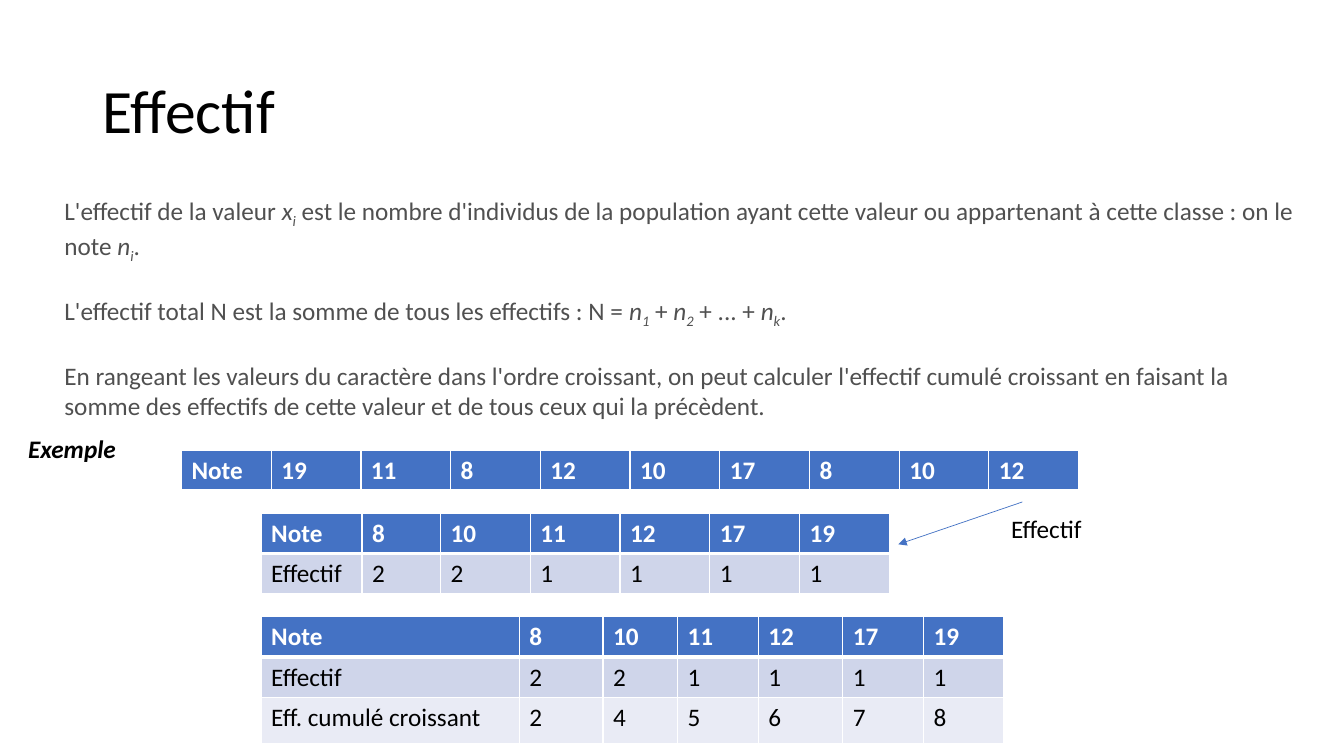
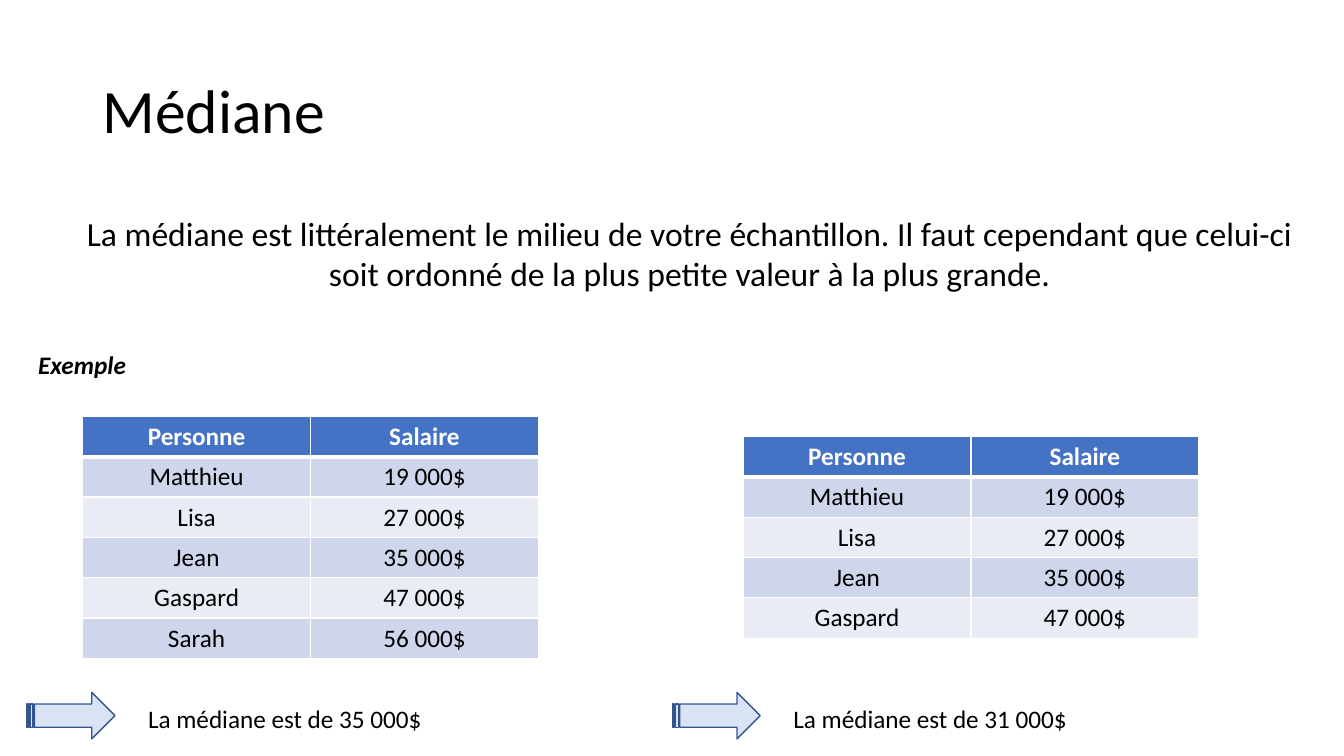
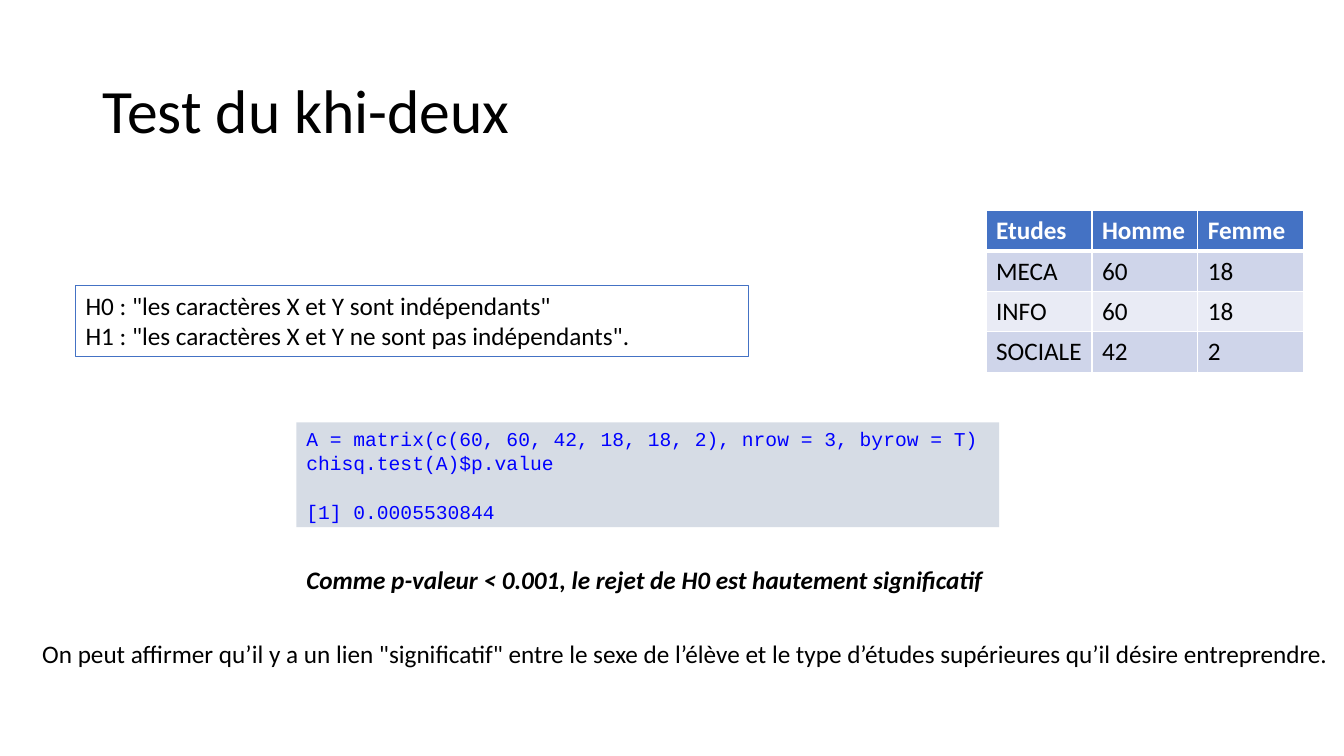
from dataclasses import dataclass, field

from lxml import etree
from pptx import Presentation
from pptx.dml.color import RGBColor
from pptx.enum import shapes, text
from pptx.oxml import ns
from pptx.util import Inches, Pt

WHITE, BLACK, GREY, CODE_BLUE = "FFFFFF", "000000", "505050", "0000FF"
ACCENT, ARROW_FILL, ARROW_LINE, CODE_FILL = "4472C4", "DAE3F3", "325491", "D6DCE5"
BANDS = ("CFD5EA", "E9EBF5")
LEFT, CENTER = text.PP_ALIGN.LEFT, text.PP_ALIGN.CENTER
BODY = {"name": "Calibri", "size": Pt(18), "color": BLACK}
TITLE = {**BODY, "size": Pt(44)}
GREY_BODY = {**BODY, "color": GREY}
EMPHASIS = {**BODY, "bold": True, "italic": True}
HEADER = {**BODY, "bold": True, "color": WHITE}
CODE = {"name": "Courier New", "size": Pt(14), "color": CODE_BLUE}


@dataclass
class Run:
    words: str
    italic: bool = False
    subscript: bool = False


@dataclass
class Paragraph:
    runs: list[Run]
    space_before: float = 0


@dataclass
class Block:
    """Text in a box; fill and outline turn the box into a rectangle."""
    at: tuple[float, float, float, float]
    paragraphs: list[Paragraph]
    style: dict = field(default_factory=lambda: BODY)
    align: text.PP_ALIGN = LEFT
    fill: str | None = None
    outline: str | None = None


@dataclass
class Grid:
    left: float
    top: float
    columns: list[float]
    rows: list[list[str]]
    align: text.PP_ALIGN = LEFT
    row_height: float = 0.4
    last_height: float = 0.4


def rgb(value: str) -> RGBColor:
    return RGBColor.from_string(value)


def plain(words: str, space_before: float = 0) -> Paragraph:
    return Paragraph([Run(words)], space_before)


def indexed(symbol: str, index: str) -> list[Run]:
    """An italic symbol with its italic subscript."""
    return [Run(symbol, italic=True), Run(index, italic=True, subscript=True)]


def style_font(font, style: dict) -> None:
    for attribute, value in style.items():
        if attribute == "color":
            font.color.rgb = rgb(value)
        else:
            setattr(font, attribute, value)


def write(frame, paragraphs: list[Paragraph], style: dict, align: text.PP_ALIGN) -> None:
    frame.word_wrap = True
    for number, content in enumerate(paragraphs):
        paragraph = frame.add_paragraph() if number else frame.paragraphs[0]
        paragraph.alignment = align
        paragraph.space_before = Pt(content.space_before)
        for part in content.runs:
            run = paragraph.add_run()
            run.text = part.words
            style_font(run.font, style)
            if part.italic:
                run.font.italic = True
            if part.subscript:
                run._r.get_or_add_rPr().set("baseline", "-25000")


def add_block(slide, block: Block):
    box = [Inches(length) for length in block.at]
    if block.fill or block.outline:
        shape = slide.shapes.add_shape(shapes.MSO_SHAPE.RECTANGLE, *box)
        paint(shape, block.fill, block.outline, 0.75)
        shape.text_frame.vertical_anchor = text.MSO_ANCHOR.TOP
    else:
        shape = slide.shapes.add_textbox(*box)
    write(shape.text_frame, block.paragraphs, block.style, block.align)
    return shape


def paint(shape, fill: str | None, outline: str | None, width: float) -> None:
    shape.shadow.inherit = False
    if fill:
        shape.fill.solid()
        shape.fill.fore_color.rgb = rgb(fill)
    else:
        shape.fill.background()
    if outline:
        shape.line.color.rgb = rgb(outline)
        shape.line.width = Pt(width)
    else:
        shape.line.fill.background()


def set_borders(cell, is_header: bool) -> None:
    properties = cell._tc.get_or_add_tcPr()
    for side in "LRTB":
        width = 3 if is_header and side == "B" else 1
        line = etree.SubElement(properties, ns.qn(f"a:ln{side}"), w=str(Pt(width)))
        solid = etree.SubElement(line, ns.qn("a:solidFill"))
        etree.SubElement(solid, ns.qn("a:srgbClr"), val=WHITE)


def add_grid(slide, grid: Grid) -> None:
    heights = [grid.row_height] * (len(grid.rows) - 1) + [grid.last_height]
    table = slide.shapes.add_table(
        len(grid.rows), len(grid.columns), Inches(grid.left), Inches(grid.top),
        Inches(sum(grid.columns)), Inches(sum(heights))).table
    table.horz_banding = False
    for column, width in zip(table.columns, grid.columns):
        column.width = Inches(width)
    for row_number, (values, height) in enumerate(zip(grid.rows, heights)):
        table.rows[row_number].height = Inches(height)
        is_header = row_number == 0
        for column_number, value in enumerate(values):
            cell = table.cell(row_number, column_number)
            set_borders(cell, is_header)
            cell.fill.solid()
            cell.fill.fore_color.rgb = rgb(ACCENT if is_header else BANDS[(row_number - 1) % 2])
            write(cell.text_frame, [plain(value)], HEADER if is_header else BODY, grid.align)


def add_pointer(slide, start: tuple[float, float], end: tuple[float, float]) -> None:
    pointer = slide.shapes.add_connector(
        shapes.MSO_CONNECTOR.STRAIGHT, *[Inches(length) for length in start + end])
    pointer.line.color.rgb = rgb(ACCENT)
    pointer.line.width = Pt(0.5)
    etree.SubElement(pointer.line._get_or_add_ln(), ns.qn("a:tailEnd"), type="triangle")
    etree.SubElement(pointer._element.spPr, ns.qn("a:effectLst"))


def add_conclusion(slide, left: float, words: str) -> None:
    """A striped arrow followed by the median found."""
    arrow = slide.shapes.add_shape(
        shapes.MSO_SHAPE.STRIPED_RIGHT_ARROW,
        Inches(left), Inches(6.87), Inches(0.87), Inches(0.46))
    paint(arrow, ARROW_FILL, ARROW_LINE, 1)
    add_block(slide, Block((left + 1.1, 6.93, 5.11, 0.4), [plain(words)]))


def add_titled_slide(deck, words: str):
    slide = deck.slides.add_slide(deck.slide_layouts[6])
    title = add_block(slide, Block((0.92, 0.4, 11.5, 1.45), [plain(words)], TITLE))
    title.text_frame.vertical_anchor = text.MSO_ANCHOR.MIDDLE
    title.text_frame.paragraphs[0].line_spacing = 0.9
    return slide


def add_example_label(slide, left: float, top: float) -> None:
    add_block(slide, Block((left, top, 2.8, 0.4), [plain("Exemple")], EMPHASIS))


def build_counts(deck) -> None:
    slide = add_titled_slide(deck, "Effectif")
    definitions = [
        Paragraph([
            Run("L'effectif de la valeur "), *indexed("x", "i"),
            Run(" est le nombre d'individus de la population ayant cette valeur "
                "ou appartenant à cette classe : on le note "),
            *indexed("n", "i"), Run(".")]),
        Paragraph([
            Run("L'effectif total N est la somme de tous les effectifs : N = "),
            *indexed("n", "1"), Run(" + "), *indexed("n", "2"), Run(" + ... + "),
            *indexed("n", "k"), Run(".")], 22),
        plain("En rangeant les valeurs du caractère dans l'ordre croissant, on peut "
              "calculer l'effectif cumulé croissant en faisant la somme des effectifs "
              "de cette valeur et de tous ceux qui la précèdent.", 22),
    ]
    add_block(slide, Block((0.54, 1.89, 12.42, 2.22), definitions, GREY_BODY))
    add_example_label(slide, 0.18, 4.25)

    marks = ["Note", "19", "11", "8", "12", "10", "17", "8", "10", "12"]
    sorted_marks = ["Note", "8", "10", "11", "12", "17", "19"]
    counts = ["Effectif", "2", "2", "1", "1", "1", "1"]
    running_counts = ["Eff. cumulé croissant", "2", "4", "5", "6", "7", "8"]
    add_grid(slide, Grid(1.8, 4.47, [0.89] * len(marks), [marks]))
    add_grid(slide, Grid(2.59, 5.09, [1, 0.78] + [0.89] * 5, [sorted_marks, counts]))
    add_pointer(slide, (10.14, 4.98), (8.91, 5.4))
    add_block(slide, Block((9.93, 5.04, 1.52, 0.4), [plain("Effectif")]))
    add_grid(slide, Grid(2.59, 6.12, [2.56, 0.83, 0.74, 0.8, 0.84, 0.8, 0.79],
                         [sorted_marks, counts, running_counts],
                         row_height=0.38, last_height=0.46))


def build_median(deck) -> None:
    slide = add_titled_slide(deck, "Médiane")
    definition = ("La médiane est littéralement le milieu de votre échantillon. Il faut "
                  "cependant que celui-ci soit ordonné de la plus petite valeur à la plus grande.")
    add_block(slide, Block((0.66, 2.06, 12.36, 0.91), [plain(definition)],
                           {**BODY, "size": Pt(24)}, CENTER))
    add_example_label(slide, 0.28, 3.42)

    salaries = [
        ["Personne", "Salaire"],
        ["Matthieu", "19 000$"],
        ["Lisa", "27 000$"],
        ["Jean", "35 000$"],
        ["Gaspard", "47 000$"],
        ["Sarah", "56 000$"],
    ]
    add_grid(slide, Grid(0.82, 4.13, [2.26] * 2, salaries, CENTER))
    add_conclusion(slide, 0.27, "La médiane est de 35 000$")
    add_grid(slide, Grid(7.37, 4.33, [2.26] * 2, salaries[:-1], CENTER))
    add_conclusion(slide, 6.67, "La médiane est de 31 000$")


def build_chi_squared(deck) -> None:
    slide = add_titled_slide(deck, "Test du khi-deux")
    code = [
        plain("A = matrix(c(60, 60, 42, 18, 18, 2), nrow = 3, byrow = T)"),
        plain("chisq.test(A)$p.value"),
        plain("[1] 0.0005530844", 18),
    ]
    hypotheses = [
        plain('H0 : "les caractères X et Y sont indépendants"'),
        plain('H1 : "les caractères X et Y ne sont pas indépendants".'),
    ]
    verdict = "Comme p-valeur < 0.001, le rejet de H0 est hautement significatif"
    meaning = ('On peut affirmer qu’il y a un lien "significatif" entre le sexe de l’élève '
               "et le type d’études supérieures qu’il désire entreprendre.")
    for block in (
        Block((2.94, 4.19, 6.97, 1.04), code, CODE, fill=CODE_FILL),
        Block((0.75, 2.83, 6.67, 0.71), hypotheses, outline=ACCENT),
        Block((2.94, 5.55, 8.96, 0.4), [plain(verdict)], EMPHASIS),
        Block((0.32, 6.28, 13.01, 0.4), [plain(meaning)]),
    ):
        add_block(slide, block)
    add_grid(slide, Grid(9.78, 2.09, [1.05] * 3, [
        ["Etudes", "Homme", "Femme"],
        ["MECA", "60", "18"],
        ["INFO", "60", "18"],
        ["SOCIALE", "42", "2"],
    ]))


def main() -> None:
    deck = Presentation()
    deck.slide_width, deck.slide_height = Inches(13.33), Inches(7.5)
    for build in (build_counts, build_median, build_chi_squared):
        build(deck)
    deck.save("out.pptx")


if __name__ == "__main__":
    main()
